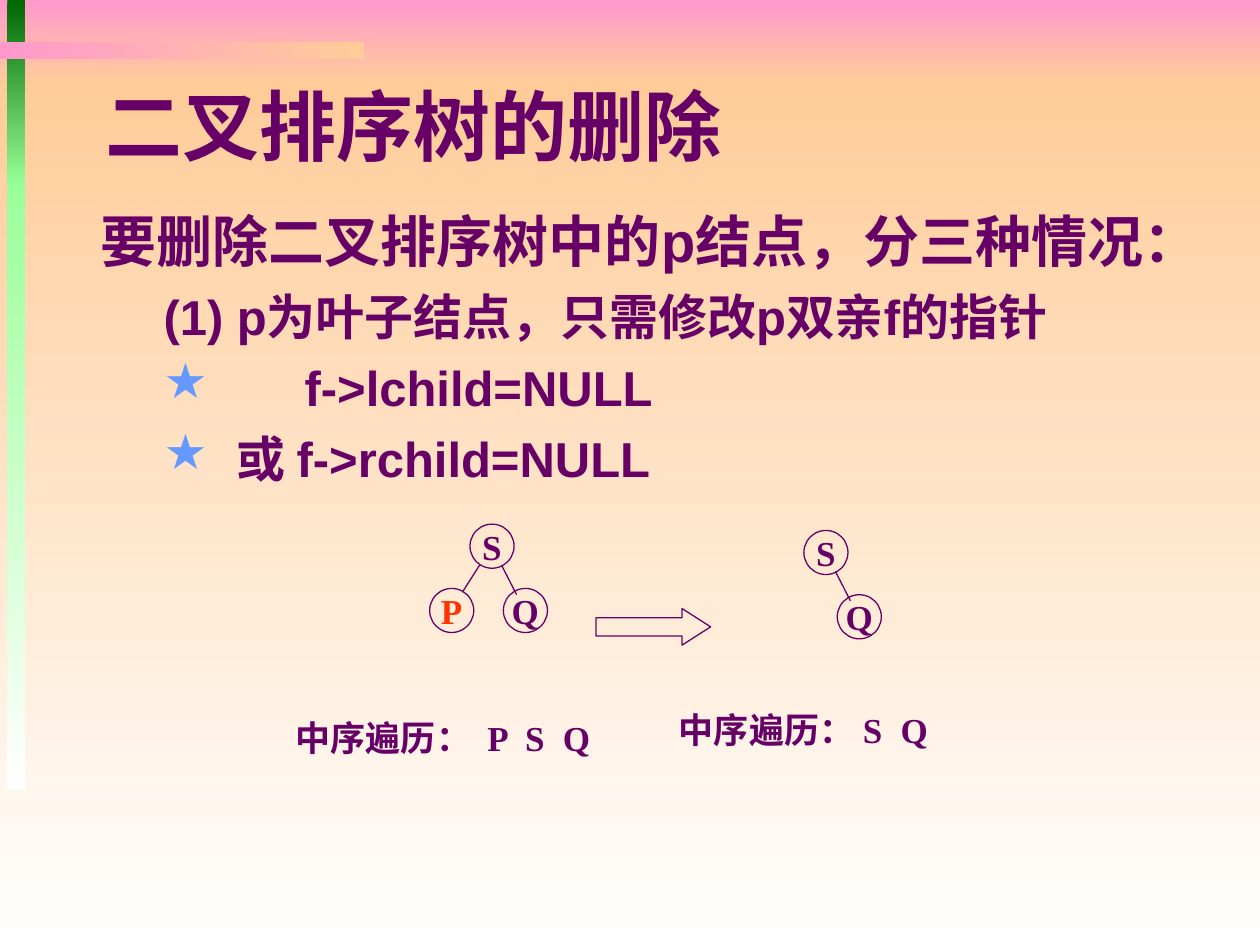
from lxml.etree import SubElement
from pptx import Presentation
from pptx.dml.color import RGBColor
from pptx.enum.shapes import MSO_CONNECTOR, MSO_SHAPE as Shape
from pptx.enum.text import MSO_ANCHOR as Anchor, PP_ALIGN as Align
from pptx.oxml.ns import qn
from pptx.util import Inches, Pt

PURPLE = RGBColor(0x66, 0x00, 0x66)
RED = RGBColor(0xFF, 0x33, 0x00)
BLUE = RGBColor(0x66, 0x99, 0xFF)
PINK = RGBColor(0xFF, 0x99, 0xCC)
PEACH = RGBColor(0xFF, 0xCC, 0x99)
GREEN = RGBColor(0x00, 0x66, 0x00)
MINT = RGBColor(0x99, 0xFF, 0x99)
WHITE = RGBColor(0xFF, 0xFF, 0xFF)

COLUMNS, ROWS = 100, 75
CELL = Inches(0.1)
NODE = 3.5
SERIF = "Times New Roman"


def cells(*counts):
    return [round(count * CELL) for count in counts]


def style(para, size, font, color=PURPLE):
    for span in para.runs:
        span.font.size = Pt(size)
        span.font.name = font
        span.font.bold = True
        span.font.color.rgb = color


def add_text_box(page, box, anchor=Anchor.MIDDLE):
    frame = page.shapes.add_textbox(*cells(*box)).text_frame
    frame.word_wrap = True
    frame.vertical_anchor = anchor
    return frame


def add_gradient(page, box, start, end, angle=270):
    band = page.shapes.add_shape(Shape.RECTANGLE, *cells(*box))
    band.shadow.inherit = False
    band.line.fill.background()
    band.fill.gradient()
    band.fill.gradient_angle = angle
    for stop, color in zip(band.fill.gradient_stops, (start, end)):
        stop.color.rgb = color


def add_outline(page, kind, box):
    shape = page.shapes.add_shape(kind, *cells(*box))
    shape.shadow.inherit = False
    shape.fill.background()
    shape.line.color.rgb = PURPLE
    shape.line.width = Pt(0.75)
    return shape


def add_backdrop(page):
    sky = 6.7
    add_gradient(page, (0, 0, COLUMNS, sky), PINK, PEACH)
    add_gradient(page, (0, sky, COLUMNS, ROWS - sky), PEACH, WHITE)
    add_gradient(page, (0.6, 0, 1.4, 14.8), GREEN, MINT)
    add_gradient(page, (0.6, 14.6, 1.4, 48.1), MINT, WHITE)
    add_gradient(page, (0, 3.3, 28.9, 1.4), PINK, PEACH, 0)


def add_node(page, left, top, letter, color=PURPLE):
    circle = add_outline(page, Shape.OVAL, (left, top, NODE, NODE))
    frame = circle.text_frame
    frame.word_wrap = False
    frame.vertical_anchor = Anchor.MIDDLE
    frame.text = letter
    frame.paragraphs[0].alignment = Align.CENTER
    style(frame.paragraphs[0], 20, SERIF, color)


def add_edge(page, left, top, start, end):
    ends = cells(left + start[0], top + start[1], left + end[0], top + end[1])
    edge = page.shapes.add_connector(MSO_CONNECTOR.STRAIGHT, *ends)
    edge.line.color.rgb = PURPLE
    edge.line.width = Pt(0.75)
    SubElement(edge._element.spPr, qn("a:effectLst"))


def add_tree(page, left, top, left_child=None):
    add_node(page, left, top, "S")
    add_node(page, left + 2.65, top + 5.1, "Q")
    add_edge(page, left, top, (2.5, 3.25), (3.7, 5.6))
    if left_child:
        add_node(page, left - 3.2, top + 5.1, left_child, RED)
        add_edge(page, left, top, (0.8, 3.2), (-0.6, 5.4))


def add_traversal(page, box, letters, first_stop):
    para = add_text_box(page, box).paragraphs[0]
    para.text = "\t".join(["中序遍历：", *letters])
    tabs = SubElement(para._p.get_or_add_pPr(), qn("a:tabLst"))
    for index in range(len(letters)):
        stop = Inches(first_stop + 0.3 * index)
        SubElement(tabs, qn("a:tab"), pos=str(stop), algn="l")
    style(para, 20, SERIF)


def add_title(page, box):
    frame = add_text_box(page, box)
    frame.text = "二叉排序树的删除"
    style(frame.paragraphs[0], 44, "Roboto Condensed")


def add_body(page, box):
    lines = [
        ("要删除二叉排序树中的p结点，分三种情况：", 32, 0, 0.67, 0, False),
        ("(1) p为叶子结点，只需修改p双亲f的指针", 28, 1, 0.5, 0.58, False),
        ("f->lchild=NULL", 28, 1, 0.5, 1.12, True),
        ("或 f->rchild=NULL", 28, 1, 0.5, 0.58, True),
    ]
    frame = add_text_box(page, box, Anchor.TOP)
    for index, (text, size, level, start, hang, starred) in enumerate(lines):
        para = frame.add_paragraph() if index else frame.paragraphs[0]
        para.text = text
        para.level = level
        para.space_before = Pt(7 if index else 0)
        props = para._p.get_or_add_pPr()
        margin = start + hang if index else start
        props.set("marL", str(Inches(margin)))
        props.set("indent", str(Inches(start - margin if index else -start)))
        if starred:
            tint = SubElement(props, qn("a:buClr"))
            SubElement(tint, qn("a:srgbClr"), val=str(BLUE))
            SubElement(props, qn("a:buChar"), char="★")
        style(para, size, "Arial")


def add_diagram(page, left, top):
    add_tree(page, left, top, "P")
    add_tree(page, left + 26.5, top + 0.5)
    arrow = add_outline(page, Shape.RIGHT_ARROW, (left + 10, top + 6.7, 9.1, 2.9))
    arrow.adjustments[1] = 0.78
    add_traversal(page, (left - 14.8, top + 14.7, 26, 4.4), "PSQ", 1.52)
    add_traversal(page, (left + 15.6, top + 14.1, 22.5, 4.4), "SQ", 1.46)


def main():
    deck = Presentation()
    deck.slide_width, deck.slide_height = cells(COLUMNS, ROWS)
    page = deck.slides.add_slide(deck.slide_layouts[6])
    add_backdrop(page)
    add_diagram(page, 37.3, 41.6)
    add_title(page, (7.4, 5.4, 85, 9))
    add_body(page, (7, 15.9, 93, 59.1))
    deck.save("out.pptx")


if __name__ == "__main__":
    main()
